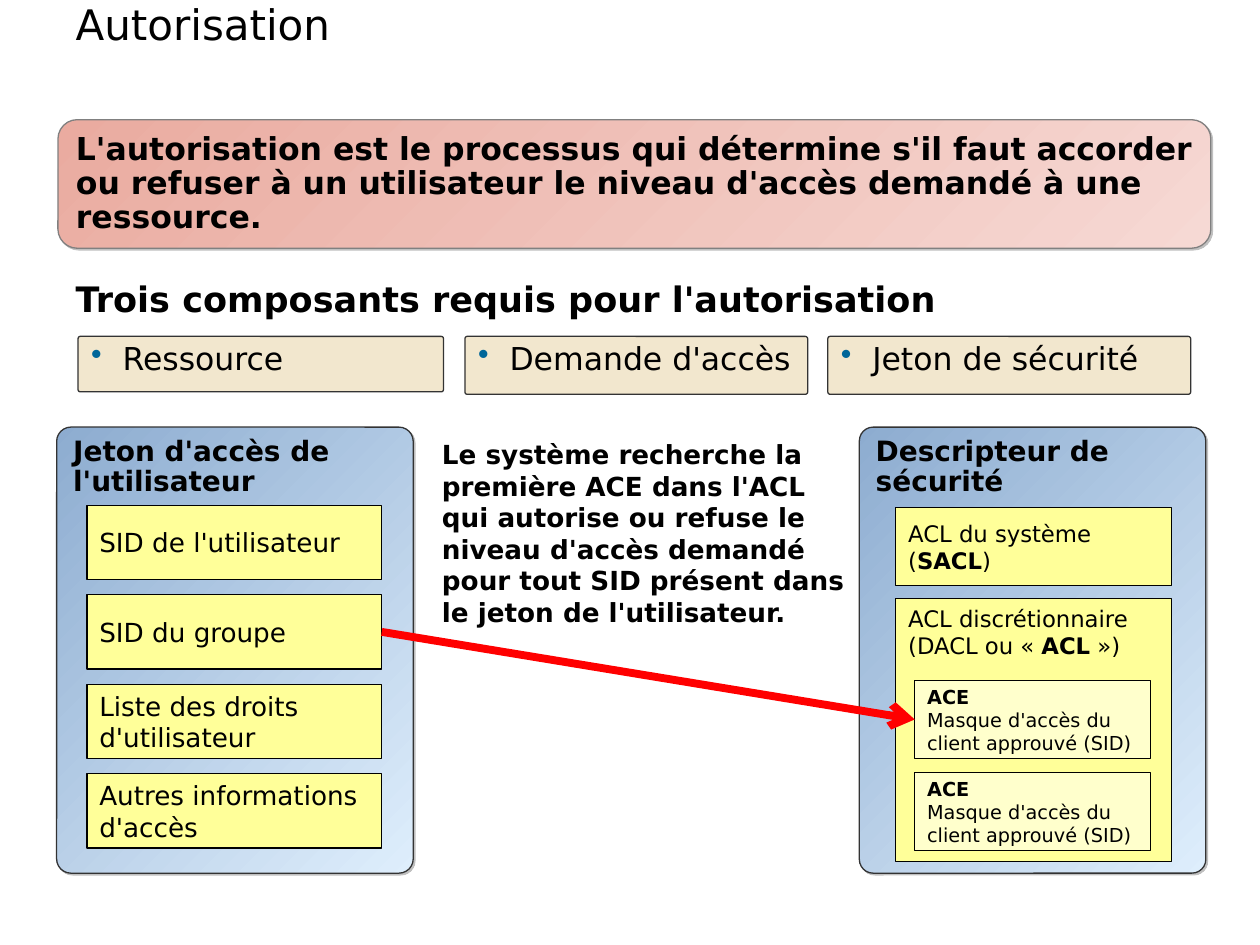
from copy import deepcopy
from dataclasses import dataclass
from typing import Optional

from lxml import etree
from pptx import Presentation
from pptx import util as u
from pptx.dml.color import RGBColor
from pptx.enum import shapes, text
from pptx.oxml import ns

FONT = "DejaVu Sans"
BLACK = RGBColor(0x00, 0x00, 0x00)
GREY = RGBColor(0x80, 0x80, 0x80)
CHARCOAL = RGBColor(0x33, 0x33, 0x33)
SHADOW = RGBColor(0xC0, 0xC0, 0xC0)
RED = RGBColor(0xFF, 0x00, 0x00)
BULLET = RGBColor(0x00, 0x66, 0x99)
SAND = RGBColor(0xF2, 0xE7, 0xCE)
YELLOW = RGBColor(0xFF, 0xFF, 0x99)
PALE_YELLOW = RGBColor(0xFF, 0xFF, 0xCC)
PINKS = (RGBColor(0xEA, 0xAB, 0xA0), RGBColor(0xF6, 0xD9, 0xD4))
BLUES = (RGBColor(0x8D, 0xAC, 0xD0), RGBColor(0xDE, 0xEE, 0xFC))

TOP = text.MSO_ANCHOR.TOP
MIDDLE = text.MSO_ANCHOR.MIDDLE


@dataclass
class Box:
    """A framed text; parts between asterisks in the wording are bold."""
    left: float
    top: float
    width: float
    height: float
    wording: str
    size: float
    fill: Optional[RGBColor] = None
    gradient: Optional[tuple] = None
    line: Optional[RGBColor] = BLACK
    corner: Optional[float] = None
    anchor: text.MSO_ANCHOR = MIDDLE
    spacing: float = 1.0
    bullet: bool = False
    right_inset: float = 0.1


def add_child(parent, tag: str, **attributes: str):
    return etree.SubElement(parent, ns.qn(tag), **attributes)


def format_frame(frame, anchor: text.MSO_ANCHOR, right_inset: float = 0.1) -> None:
    frame.word_wrap = True
    frame.auto_size = text.MSO_AUTO_SIZE.NONE
    frame.vertical_anchor = anchor
    frame.margin_left, frame.margin_right = u.Inches(0.1), u.Inches(right_inset)
    frame.margin_top = frame.margin_bottom = u.Inches(0.05)


def write_text(paragraph, wording: str, size: float, spacing: float = 1.0) -> None:
    paragraph.alignment = text.PP_ALIGN.LEFT
    paragraph.line_spacing = spacing
    for index, part in enumerate(wording.split("*")):
        for line_number, line in enumerate(part.split("\n")):
            if line_number:
                paragraph.add_line_break()
            if not line:
                continue
            run = paragraph.add_run()
            run.text = line
            run.font.name = FONT
            run.font.size = u.Pt(size)
            run.font.bold = index % 2 == 1
            run.font.color.rgb = BLACK
    # Line breaks take the size of the text around them
    for line_break in paragraph._p.findall(ns.qn("a:br")):
        line_break.append(deepcopy(paragraph.runs[0]._r.rPr))


def add_bullet(paragraph) -> None:
    properties = paragraph._p.get_or_add_pPr()
    indent = u.Inches(0.25)
    properties.set("marL", str(indent))
    properties.set("indent", str(-indent))
    colour = add_child(properties, "a:buClr")
    add_child(colour, "a:srgbClr", val=str(BULLET))
    add_child(properties, "a:buChar", char="•")


def apply_gradient(shape, colours: tuple) -> None:
    shape.fill.gradient()
    shape.fill.gradient_angle = 315
    for stop, colour in zip(shape.fill.gradient_stops, colours):
        stop.color.rgb = colour
    effects = shape._element.spPr.find(ns.qn("a:effectLst"))
    shadow = add_child(effects, "a:outerShdw", dist=str(u.Pt(1.4)),
                       dir="2700000", algn="ctr", rotWithShape="0")
    add_child(shadow, "a:srgbClr", val=str(SHADOW))


def draw_box(slide, box: Box):
    kind = shapes.MSO_SHAPE
    shape = slide.shapes.add_shape(
        kind.RECTANGLE if box.corner is None else kind.ROUNDED_RECTANGLE,
        u.Inches(box.left), u.Inches(box.top),
        u.Inches(box.width), u.Inches(box.height))
    if box.corner is not None:
        shape.adjustments[0] = box.corner
    if box.line is None:
        shape.line.fill.background()
    else:
        shape.line.color.rgb = box.line
        shape.line.width = u.Pt(0.75)
    shape.shadow.inherit = False
    if box.gradient:
        apply_gradient(shape, box.gradient)
    elif box.fill is None:
        shape.fill.background()
    else:
        shape.fill.solid()
        shape.fill.fore_color.rgb = box.fill
    format_frame(shape.text_frame, box.anchor, box.right_inset)
    paragraph = shape.text_frame.paragraphs[0]
    write_text(paragraph, box.wording, box.size, box.spacing)
    if box.bullet:
        add_bullet(paragraph)
    return shape


def draw_panel(slide, left: float, width: float, heading: str) -> None:
    draw_box(slide, Box(left, 3.39, width, 3.54, f"*{heading}*", 16,
                        gradient=BLUES, line=CHARCOAL, corner=0.04,
                        anchor=TOP, spacing=0.9))


def draw_arrow(slide, source, target) -> None:
    arrow = slide.shapes.add_connector(shapes.MSO_CONNECTOR.STRAIGHT, 0, 0, 0, 0)
    arrow.begin_connect(source, 3)
    arrow.end_connect(target, 1)
    arrow.line.color.rgb = RED
    arrow.line.width = u.Pt(4.5)
    add_child(arrow.line._get_or_add_ln(), "a:tailEnd", type="arrow")
    add_child(arrow._element.spPr, "a:effectLst")


def main() -> None:
    presentation = Presentation()
    presentation.slide_width, presentation.slide_height = u.Inches(10), u.Inches(7.5)
    slide = presentation.slides.add_slide(presentation.slide_layouts[5])

    # Title
    title = slide.shapes.title
    title.left, title.top = u.Inches(0.5), u.Inches(0)
    title.width, title.height = u.Inches(8.5), u.Inches(0.81)
    format_frame(title.text_frame, TOP)
    write_text(title.text_frame.paragraphs[0], "Autorisation", 24, 0.85)

    # Definition and heading
    draw_box(slide, Box(
        0.46, 0.95, 9.15, 1.02,
        "*L'autorisation est le processus qui détermine s'il faut accorder ou "
        "refuser à un utilisateur le niveau d'accès demandé à une ressource.*",
        18, gradient=PINKS, line=GREY, corner=0.15, spacing=0.9))
    draw_box(slide, Box(0.49, 2.14, 9.12, 1.1,
                        "*Trois composants requis pour l'autorisation*", 20,
                        line=None, corner=0.04, anchor=TOP))

    # Three components
    for left, width, height, wording in ((0.62, 2.9, 0.44, "Ressource"),
                                         (3.69, 2.72, 0.46, "Demande d'accès"),
                                         (6.57, 2.88, 0.46, "Jeton de sécurité")):
        draw_box(slide, Box(left, 2.67, width, height, wording, 18, fill=SAND,
                            line=CHARCOAL, corner=0.04, anchor=TOP,
                            spacing=0.9, bullet=True))

    # Security descriptor
    draw_panel(slide, 6.82, 2.75, "Descripteur de sécurité")
    draw_box(slide, Box(7.11, 4.03, 2.19, 0.62, "ACL du système (*SACL*)", 13,
                        fill=YELLOW))
    draw_box(slide, Box(7.11, 4.75, 2.19, 2.09,
                        "ACL discrétionnaire (DACL ou « *ACL* »)", 13,
                        fill=YELLOW, anchor=TOP))
    entries = [draw_box(slide, Box(7.26, top, 1.87, 0.62,
                                   "*ACE*\nMasque d'accès du client approuvé (SID)",
                                   11, fill=PALE_YELLOW, right_inset=0.05))
               for top in (5.4, 6.13)]

    # User access token
    draw_panel(slide, 0.45, 2.83, "Jeton d'accès de l'utilisateur")
    token_parts = [draw_box(slide, Box(0.69, 4.01 + 0.71 * row, 2.34, 0.59,
                                       wording, 15, fill=YELLOW))
                   for row, wording in enumerate((
                       "SID de l'utilisateur", "SID du groupe",
                       "Liste des droits d'utilisateur",
                       "Autres informations d'accès"))]

    # Match between the group and the access entry
    draw_arrow(slide, token_parts[1], entries[0])
    note = slide.shapes.add_textbox(u.Inches(3.41), u.Inches(3.43),
                                    u.Inches(3.47), u.Inches(1.6))
    format_frame(note.text_frame, TOP)
    write_text(note.text_frame.paragraphs[0],
               "*Le système recherche la première ACE dans l'ACL qui autorise ou "
               "refuse le niveau d'accès demandé pour tout SID présent dans le "
               "jeton de l'utilisateur.*", 15)

    presentation.save("out.pptx")


if __name__ == "__main__":
    main()
